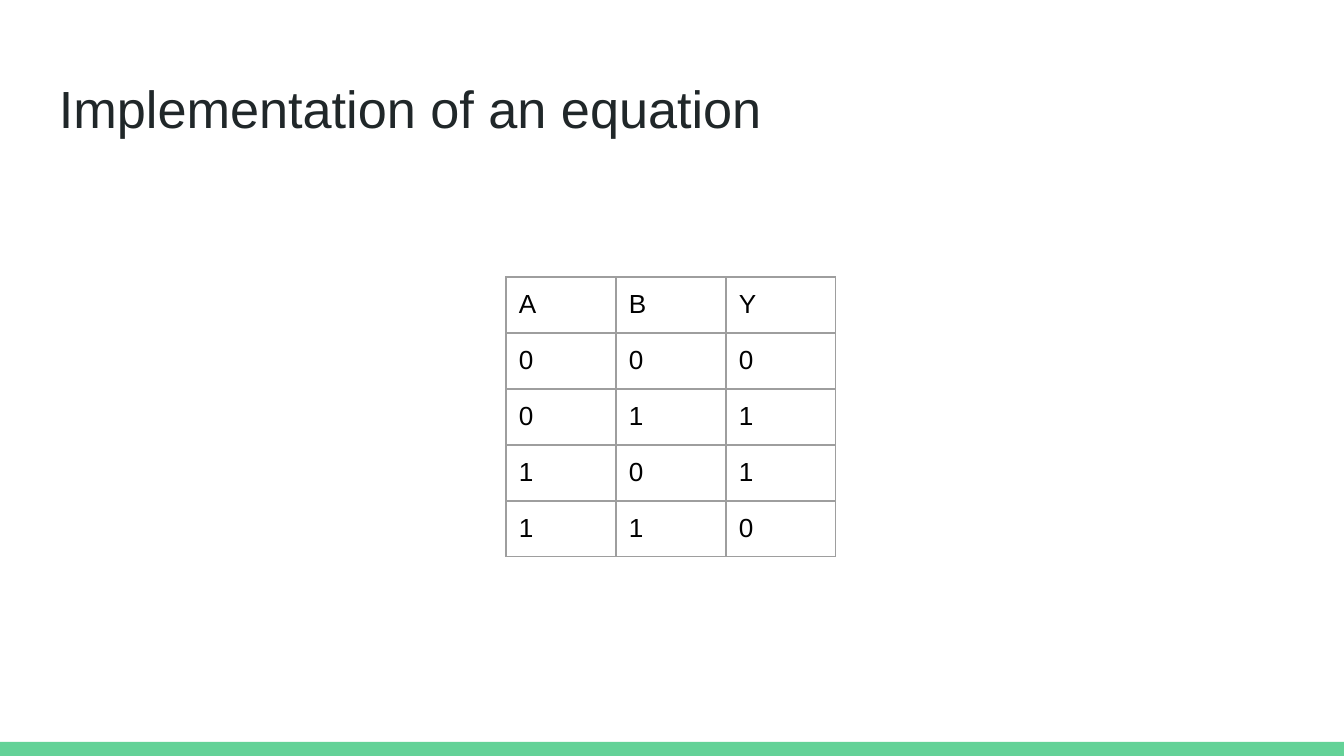
from lxml.etree import SubElement as Sub
from pptx import Presentation as Deck
from pptx.dml.color import RGBColor as Color
from pptx.enum.shapes import MSO_SHAPE as Kind
from pptx.enum.text import MSO_ANCHOR as Anchor, MSO_AUTO_SIZE as Fit, PP_ALIGN as Align
from pptx.oxml.ns import qn
from pptx.util import Emu, Pt

UNIT = 914400 / 134.4
INSET = 13
ROWS = ["ABY", "000", "011", "101", "110"]


def px(num):
    return Emu(round(num * UNIT))


def tint(code):
    return Color.from_string(code)


def style(para, size, code):
    para.alignment = Align.LEFT
    for run in para.runs:
        run.font.name = "Arial"
        run.font.size = Pt(size)
        run.font.bold = False
        run.font.color.rgb = tint(code)


def pad(item):
    item.margin_left = item.margin_right = px(INSET)
    item.margin_top = item.margin_bottom = px(INSET)


def add_bar(slide, x, y, wide, high, code):
    bar = slide.shapes.add_shape(Kind.RECTANGLE, px(x), px(y), px(wide), px(high))
    bar.shadow.inherit = False
    bar.fill.solid()
    bar.fill.fore_color.rgb = tint(code)
    bar.line.fill.background()


def set_title(slide, text, x, y, wide, high):
    title = slide.shapes.title
    title.left, title.top = px(x), px(y)
    title.width, title.height = px(wide), px(high)
    frame = title.text_frame
    frame.text = text
    frame.word_wrap = True
    frame.auto_size = Fit.NONE
    frame.vertical_anchor = Anchor.MIDDLE
    pad(frame)
    style(frame.paragraphs[0], 28, "202729")


def edge(cell, code, width):
    props = cell._tc.get_or_add_tcPr()
    for spot, side in enumerate(("lnL", "lnR", "lnT", "lnB")):
        line = props.makeelement(qn("a:" + side), {"w": str(Pt(width))})
        fill = Sub(line, qn("a:solidFill"))
        Sub(fill, qn("a:srgbClr"), val=code)
        props.insert(spot, line)


def add_grid(slide, rows, x, y, wide, high):
    count, span = len(rows), len(rows[0])
    frame = slide.shapes.add_table(
        count, span, px(x), px(y), px(wide * span), px(high * count))
    table = frame.table
    table.first_row = table.horz_banding = False
    for row, texts in zip(table.rows, rows):
        row.height = px(high)
        for cell, text in zip(row.cells, texts):
            cell.text = text
            cell.fill.background()
            pad(cell)
            style(cell.text_frame.paragraphs[0], 14, "000000")
            edge(cell, "9E9E9E", 0.75)


def main():
    deck = Deck()
    deck.slide_width, deck.slide_height = px(1344), px(756)
    slide = deck.slides.add_slide(deck.slide_layouts[5])
    add_bar(slide, 0, 742, 1344, 14, "63D297")
    set_title(slide, "Implementation of an equation", 46, 66, 1253, 84)
    add_grid(slide, ROWS, 506, 277, 110, 56)
    deck.save("out.pptx")


if __name__ == "__main__":
    main()
